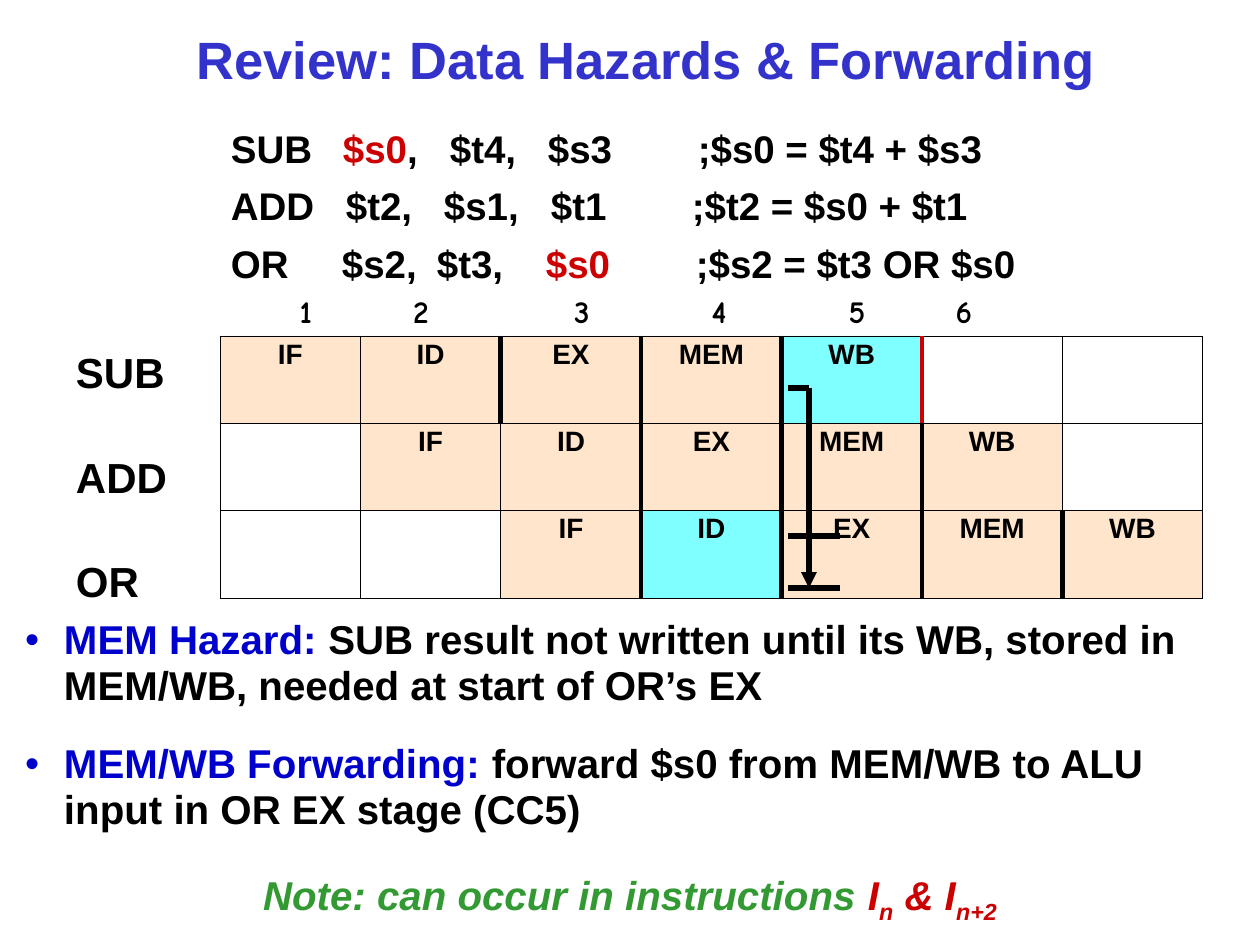
from pptx import Presentation
from pptx.dml.color import RGBColor
from pptx.enum.shapes import MSO_CONNECTOR, MSO_SHAPE
from pptx.enum.text import MSO_ANCHOR, PP_ALIGN
from pptx.oxml.ns import qn
from pptx.util import Emu, Pt
from lxml.etree import SubElement

SCALE = 914400 / 126
COLORS = {
    "title": "3333CC", "black": "000000", "red": "CC0000", "blue": "0000CC",
    "green": "339933", "peach": "FFCC99", "cyan": "00FFFF",
}


def px(length):
    return Emu(round(length * SCALE))


def write(frame, index, spans, size, layout=None, name="Arial", tabs=(), tab_align="l"):
    """Fill one paragraph with (text, color[, font values]) spans."""
    para = frame.paragraphs[0] if index == 0 else frame.add_paragraph()
    for key, value in (layout or {}).items():
        if key != "space_before" or index > 0:
            setattr(para, key, value)
    if tabs:
        tab_list = SubElement(para._p.get_or_add_pPr(), qn("a:tabLst"))
        for stop in tabs:
            SubElement(tab_list, qn("a:tab"), pos=str(px(stop)), algn=tab_align)
    for text, color, *extra in spans:
        span = para.add_run()
        span.text = text
        values = {"size": Pt(size), "name": name, "bold": True}
        for key, value in (values | (extra[0] if extra else {})).items():
            if key == "baseline":
                span.font._element.set("baseline", str(value))
            else:
                setattr(span.font, key, value)
        span.font.color.rgb = RGBColor.from_string(COLORS[color])
    return para


deck = Presentation()
deck.slide_width, deck.slide_height = px(1260), px(945)
page = deck.slides.add_slide(deck.slide_layouts[6])

# Text boxes: title, code, row labels
frames = {}
for part, bounds in {
    "title": (32, 21, 1228, 84),
    "code": (231, 128, 980, 160),
    "labels": (76, 347, 120, 255),
}.items():
    frame = page.shapes.add_textbox(*map(px, bounds)).text_frame
    frame.word_wrap = True
    frame.margin_left = frame.margin_right = frame.margin_top = frame.margin_bottom = 0
    frames[part] = frame

frames["title"].vertical_anchor = MSO_ANCHOR.MIDDLE
write(frames["title"], 0, [("Review: Data Hazards & Forwarding", "title")], 30,
      {"alignment": PP_ALIGN.CENTER, "line_spacing": 0.9})

code_lines = [
    ([("SUB\t", "black"), ("$s0", "red"), (",\t$t4,\t$s3\t;$s0 = $t4 + $s3", "black")],
     (112, 219, 317, 467)),
    ([("ADD\t$t2,\t$s1,\t$t1\t;$t2 = $s0 + $t1", "black")], (115, 213, 320, 461)),
    ([("OR\t$s2,\t$t3,\t", "black"), ("$s0", "red"), ("\t;$s2 = $t3 OR $s0", "black")],
     (111, 206, 315, 465)),
]
for index, (spans, tabs) in enumerate(code_lines):
    write(frames["code"], index, spans, 22,
          {"line_spacing": 0.95, "space_before": Pt(8)}, tabs=tabs)

for index, label in enumerate(("SUB", "ADD", "OR")):
    write(frames["labels"], index, [(label, "black")], 24, {"space_before": Pt(30.7)})

# Pipeline table: each instruction starts one cycle later
STAGES = ("IF", "ID", "EX", "MEM", "WB")
ROWS, COLUMNS = 3, 7
CYAN_CELLS = {(0, 4), (2, 3)}
THICK_EDGES = [(2, 3, 4, 5), (3, 4, 5), (3, 4, 5, 6)]
RED_EDGE = (0, 5)

table = page.shapes.add_table(ROWS, COLUMNS, *map(px, (220, 336, 983, 262))).table
table.first_row = table.horz_banding = False
for column in table.columns:
    column.width = px(983 / COLUMNS)
for row in table.rows:
    row.height = px(262 / ROWS)

for r in range(ROWS):
    for c in range(COLUMNS):
        cell = table.cell(r, c)
        cell.margin_left = cell.margin_right = cell.margin_top = cell.margin_bottom = px(6)
        stage = c - r
        if 0 <= stage < len(STAGES):
            write(cell.text_frame, 0, [(STAGES[stage], "black")], 16,
                  {"alignment": PP_ALIGN.CENTER, "line_spacing": 0.9})
            cell.fill.solid()
            fill = "cyan" if (r, c) in CYAN_CELLS else "peach"
            cell.fill.fore_color.rgb = RGBColor.from_string(COLORS[fill])
            tint = cell._tc.tcPr.find(qn("a:solidFill"))[0]
            SubElement(tint, qn("a:alpha"), val="50000")
        else:
            cell.fill.background()
        properties = cell._tc.get_or_add_tcPr()
        for place, (side, edge) in enumerate((("L", c), ("R", c + 1), ("T", None), ("B", None))):
            width = Pt(3) if edge in THICK_EDGES[r] else Pt(0.45)
            color = "red" if (r, edge) == RED_EDGE else "black"
            border = SubElement(properties, qn(f"a:ln{side}"), w=str(width))
            paint = SubElement(border, qn("a:solidFill"))
            SubElement(paint, qn("a:srgbClr"), val=COLORS[color])
            properties.insert(place, border)

# Explanation panel
panel = page.shapes.add_shape(MSO_SHAPE.ROUNDED_RECTANGLE, *map(px, (0, 599, 1260, 346)))
panel.adjustments[0] = 0.125
panel.shadow.inherit = False
panel.fill.background()
panel.line.fill.background()
panel.text_frame.word_wrap = True
panel.text_frame.vertical_anchor = MSO_ANCHOR.TOP

bullets = [
    ("MEM Hazard: ",
     "SUB result not written until its WB, stored in MEM/WB, needed at start of OR’s EX"),
    ("MEM/WB Forwarding: ", "forward $s0 from MEM/WB to ALU input in OR EX stage (CC5)"),
]
for index, (term, meaning) in enumerate(bullets):
    para = write(panel.text_frame, index, [(term, "blue"), (meaning, "black")], 23,
                 {"alignment": PP_ALIGN.LEFT, "line_spacing": 0.95, "space_before": Pt(18.3)})
    indent = para._p.get_or_add_pPr()
    indent.set("marL", str(px(39)))
    indent.set("indent", str(-px(39)))
    bullet_color = SubElement(indent, qn("a:buClr"))
    SubElement(bullet_color, qn("a:srgbClr"), val=COLORS["blue"])
    SubElement(indent, qn("a:buFont"), typeface="Arial")
    SubElement(indent, qn("a:buChar"), char="•")

italic = {"italic": True}
subscript = {"italic": True, "baseline": -25000}
write(panel.text_frame, len(bullets),
      [("Note: can occur in instructions ", "green", italic), ("I", "red", italic),
       ("n", "red", subscript), (" & I", "red", italic), ("n+2", "red", subscript)], 23,
      {"alignment": PP_ALIGN.CENTER, "line_spacing": 0.95, "space_before": Pt(21)})

# Forwarding path from MEM/WB to the EX input
for ends, has_arrow in (
    ((788, 536, 840, 536), False),
    ((788, 588, 840, 588), False),
    ((809, 388, 809, 588), True),
    ((788, 388, 809, 388), False),
):
    path_line = page.shapes.add_connector(MSO_CONNECTOR.STRAIGHT, *map(px, ends))
    path_line.line.width = Pt(3)
    path_line.line.color.rgb = RGBColor.from_string(COLORS["black"])
    if has_arrow:
        SubElement(path_line.line._get_or_add_ln(), qn("a:tailEnd"), type="triangle")
    SubElement(path_line._element.spPr, qn("a:effectLst"))

# Clock cycle numbers
cycles = page.shapes.add_textbox(*map(px, (116, 286, 1008, 50))).text_frame
cycles.word_wrap = True
cycles.margin_left = 0
write(cycles, 0, [("\t1\t2\t3\t4\t5\t6", "black")], 18, name="Comic Neue",
      tabs=(190, 305, 466, 603, 741, 848), tab_align="ctr")

deck.save("out.pptx")
